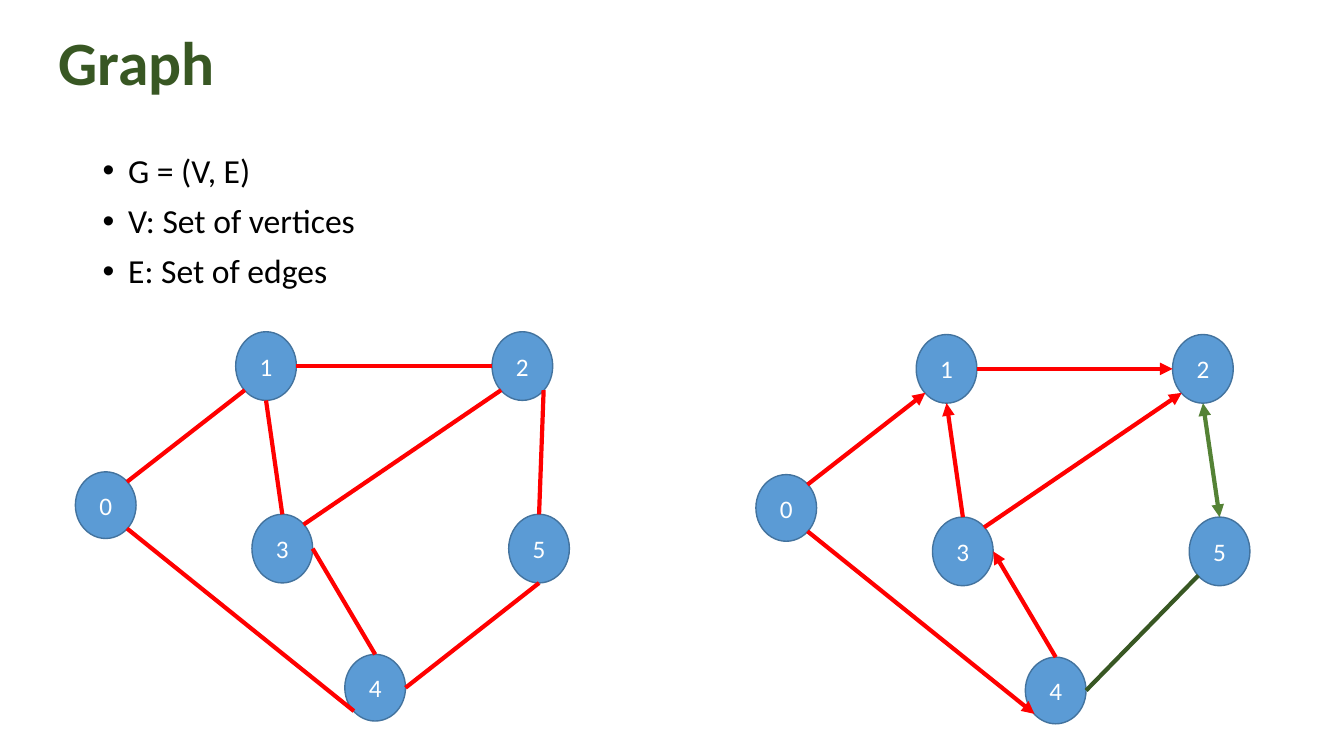
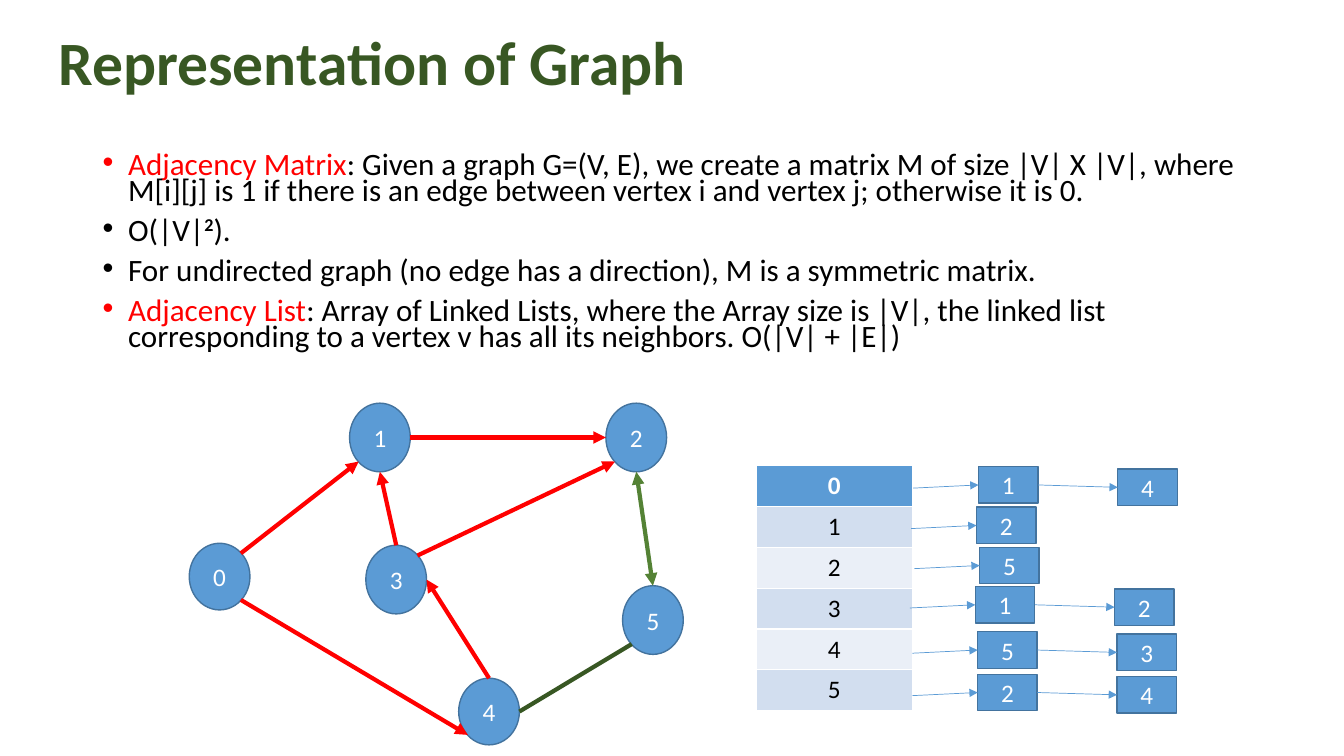
from lxml import etree
from pptx import Presentation
from pptx.dml.color import RGBColor
from pptx.enum import shapes, text
from pptx.oxml.ns import qn
from pptx.util import Cm, Pt

COLOURS = {"title": "385723", "plain": "000000", "key": "FF0000", "power": "000000",
           "node": "5B9BD5", "outline": "43739E", "label": "FFFFFF",
           "edge": "FF0000", "both_ways": "548235", "undirected": "385723",
           "odd_row": "D2DEEF", "even_row": "EAEFF7"}
COLOURS = {name: RGBColor.from_string(value) for name, value in COLOURS.items()}
FONT = "Calibri"
OVAL, BOX = shapes.MSO_SHAPE.OVAL, shapes.MSO_SHAPE.RECTANGLE

# Contact points as fractions of a node's width and height
NEAR, FAR = 0.15, 0.85
SITES = {"top": (0.5, 0), "bottom": (0.5, 1), "left": (0, 0.5), "right": (1, 0.5),
         "top right": (FAR, NEAR), "bottom left": (NEAR, FAR), "bottom right": (FAR, FAR)}


def add_node(slide, kind, label, x, y, width, height):
    """Draw a labelled node and return a function giving its contact points in cm."""
    node = slide.shapes.add_shape(kind, Cm(x), Cm(y), Cm(width), Cm(height))
    node.shadow.inherit = False
    node.fill.solid()
    node.fill.fore_color.rgb = COLOURS["node"]
    node.line.color.rgb = COLOURS["outline"]
    node.line.width = Pt(1)
    node.text_frame.vertical_anchor = text.MSO_ANCHOR.MIDDLE
    paragraph = node.text_frame.paragraphs[0]
    paragraph.alignment = text.PP_ALIGN.CENTER
    run = paragraph.add_run()
    run.text = label
    run.font.name, run.font.size = FONT, Pt(18)
    run.font.color.rgb = COLOURS["label"]
    return lambda site: (x + width * SITES[site][0], y + height * SITES[site][1])


def add_link(slide, start, end, colour, width, arrows=()):
    """Join two points; arrows may hold headEnd (start) and tailEnd (end)."""
    link = slide.shapes.add_connector(shapes.MSO_CONNECTOR.STRAIGHT,
                                      *[Cm(value) for value in (*start, *end)])
    link.line.color.rgb = COLOURS[colour]
    link.line.width = Pt(width)
    for arrow in arrows:
        etree.SubElement(link.line._get_or_add_ln(), qn("a:" + arrow), type="triangle")
    etree.SubElement(link._element.spPr, qn("a:effectLst"))


prs = Presentation()
prs.slide_width, prs.slide_height = Cm(33.87), Cm(19.05)

# Title, body width and height, font size, line spacing, paragraphs of (text, style) runs
PAGES = [
    ("Graph", 29.21, 4.45, 24, 0.9, [
        [("G = (V, E)", "plain")],
        [("V: Set of vertices", "plain")],
        [("E: Set of edges", "plain")]]),
    ("Representation of Graph", 29.85, 5.28, 22.2, 0.7, [
        [("Adjacency Matrix", "key"),
         (": Given a graph G=(V, E), we create a matrix M of size |V| X |V|, where M[i][j] is 1 "
          "if there is an edge between vertex i and vertex j; otherwise it is 0.", "plain")],
        [("O(|V|", "plain"), ("2", "power"), (").", "plain")],
        [("For undirected graph (no edge has a direction), M is a symmetric matrix.", "plain")],
        [("Adjacency List", "key"),
         (": Array of Linked Lists, where the Array size is |V|, the linked list corresponding "
          "to a vertex v has all its neighbors. O(|V| + |E|)", "plain")]]),
]

for heading, width, height, size, spacing, bullets in PAGES:
    slide = prs.slides.add_slide(prs.slide_layouts[5])
    title = slide.shapes.title
    title.left, title.top, title.width, title.height = Cm(1.22), Cm(0.66), Cm(29.21), Cm(2)
    title.text_frame.text = heading
    title.text_frame.auto_size = text.MSO_AUTO_SIZE.NONE
    title.text_frame.vertical_anchor = text.MSO_ANCHOR.MIDDLE
    paragraph = title.text_frame.paragraphs[0]
    paragraph.alignment, paragraph.line_spacing = text.PP_ALIGN.LEFT, 0.9
    font = paragraph.runs[0].font
    for attribute, value in {"name": FONT, "size": Pt(44), "bold": True}.items():
        setattr(font, attribute, value)
    font.color.rgb = COLOURS["title"]

    body = slide.shapes.add_textbox(Cm(2.34), Cm(3.76), Cm(width), Cm(height)).text_frame
    body.word_wrap = True
    for index, runs in enumerate(bullets):
        paragraph = body.add_paragraph() if index else body.paragraphs[0]
        paragraph.line_spacing, paragraph.space_before = spacing, Pt(10)
        properties = paragraph._p.get_or_add_pPr()
        properties.set("marL", str(Cm(0.64)))
        properties.set("indent", str(-Cm(0.64)))
        etree.SubElement(properties, qn("a:buFont"), typeface="Arial")
        etree.SubElement(properties, qn("a:buChar"), char="•")
        for words, style in runs:
            run = paragraph.add_run()
            run.text = words
            run.font.name, run.font.size = FONT, Pt(size)
            run.font.color.rgb = COLOURS[style]
            if style == "power":
                run.font.bold = True
                run._r.get_or_add_rPr().set("baseline", "30000")

definition, representation = prs.slides

# Vertex offsets from the top left of each graph
VERTICES = {0: (0, 3.53), 1: (4.04, 0), 2: (10.5, 0), 3: (4.45, 4.6), 4: (6.79, 8.13),
            5: (10.92, 4.6)}
FLATTER = {**VERTICES, 3: (4.45, 3.58), 4: (6.79, 6.93)}

# Start vertex and site, end vertex and site, colour, arrowheads
SHARED = [
    (0, "top right", 1, "bottom left", "edge", ["tailEnd"]),
    (1, "right", 2, "left", "edge", ["tailEnd"]),
    (1, "bottom", 3, "top", "edge", ["headEnd"]),
    (0, "bottom right", 4, "bottom left", "edge", ["tailEnd"]),
    (3, "right", 4, "top", "edge", ["headEnd"]),
    (3, "top right", 2, "bottom left", "edge", ["tailEnd"]),
]
DIRECTED = SHARED + [
    (2, "bottom", 5, "top", "both_ways", ["headEnd", "tailEnd"]),
    (4, "right", 5, "bottom left", "undirected", []),
]
UNDIRECTED = [(*edge[:5], []) for edge in SHARED] + [
    (5, "bottom", 4, "right", "edge", []),
    (2, "bottom right", 5, "top", "edge", []),
]

for slide, left, top, vertices, edges in [
        (definition, 1.9, 8.36, VERTICES, UNDIRECTED),
        (definition, 19.05, 8.43, VERTICES, DIRECTED),
        (representation, 4.77, 10.16, FLATTER, DIRECTED)]:
    points = {}
    for vertex, (x, y) in vertices.items():
        height = 1.68 if vertex in (0, 4) else 1.73
        points[vertex] = add_node(slide, OVAL, str(vertex), left + x, top + y, 1.53, height)
    for start, start_site, end, end_site, colour, arrows in edges:
        add_link(slide, points[start](start_site), points[end](end_site), colour, 3, arrows)

# Adjacency list: neighbours of each vertex and place of the first one
NEIGHBOURS = [
    ("14", 24.66, 11.76), ("2", 24.61, 12.78), ("5", 24.69, 13.79),
    ("12", 24.58, 14.78), ("53", 24.64, 15.92), ("24", 24.64, 16.99),
]
array = representation.shapes.add_table(len(NEIGHBOURS), 1, Cm(19.06), Cm(11.73), Cm(3.93),
                                        Cm(1.03 * len(NEIGHBOURS))).table
for vertex, (neighbours, x, y) in enumerate(NEIGHBOURS):
    cell = array.cell(vertex, 0)
    cell.fill.solid()
    row_colour = "node" if vertex == 0 else "odd_row" if vertex % 2 else "even_row"
    cell.fill.fore_color.rgb = COLOURS[row_colour]
    cell.text = str(vertex)
    paragraph = cell.text_frame.paragraphs[0]
    paragraph.alignment = text.PP_ALIGN.CENTER
    font = paragraph.runs[0].font
    font.name, font.size, font.bold = FONT, Pt(18), vertex == 0
    font.color.rgb = COLOURS["plain" if vertex else "label"]

    link_start = (x - 1.65, y + 0.54)
    for step, neighbour in enumerate(neighbours):
        point = add_node(representation, BOX, neighbour, x + 3.51 * step, y + 0.06 * step,
                         1.5, 0.92)
        add_link(representation, link_start, point("left"), "node", 0.5, ["tailEnd"])
        link_start = point("right")

prs.save("out.pptx")
